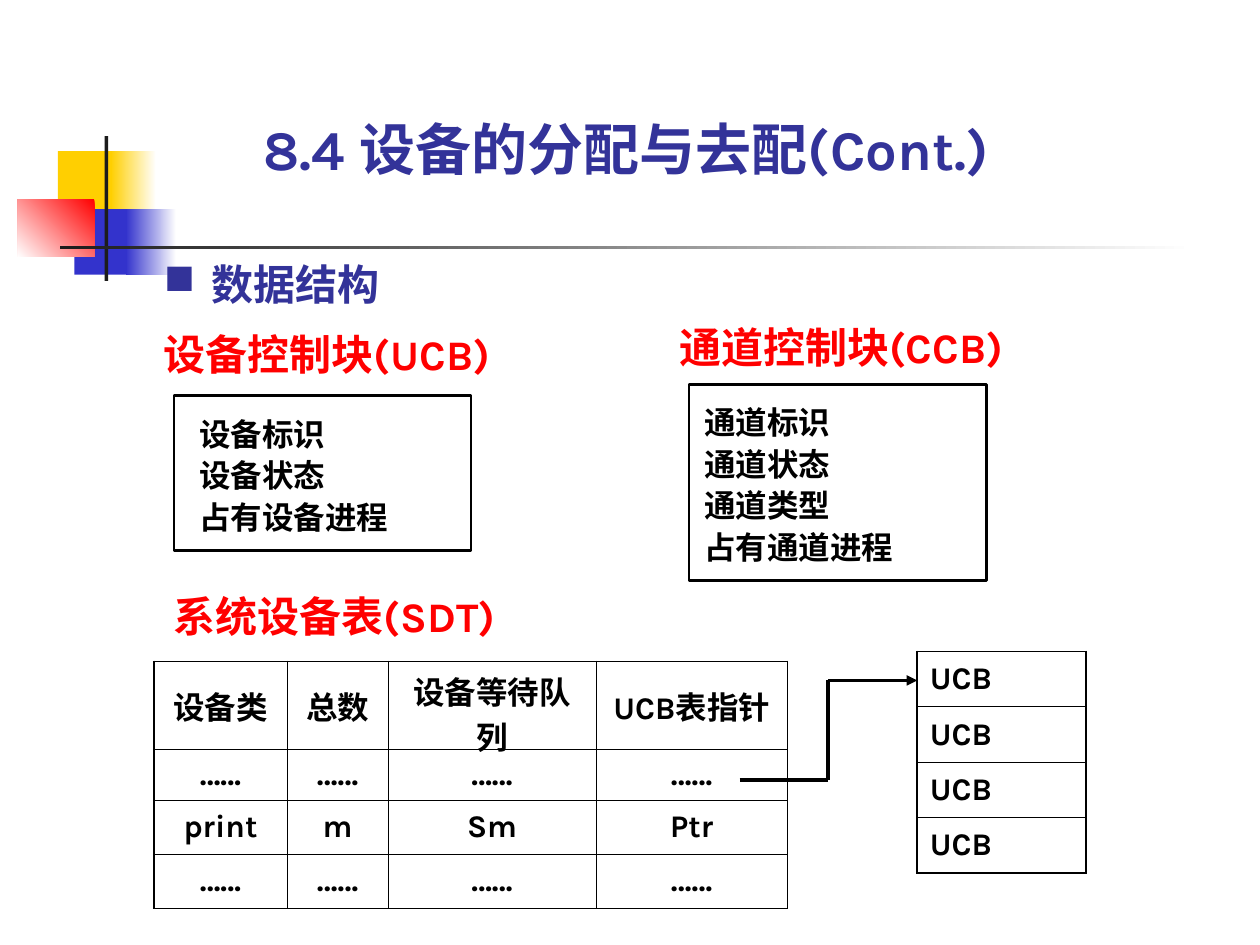
import pptx
import pptx.util
import pptx.dml.color
import pptx.enum.shapes
import pptx.enum.text
import pptx.oxml
import pptx.oxml.ns

Inches, Pt = pptx.util.Inches, pptx.util.Pt
ANCHOR = pptx.enum.text.MSO_ANCHOR
ALIGN = pptx.enum.text.PP_ALIGN

COLORS = {
    "navy": "333399", "red": "FF0000", "black": "000000", "white": "FFFFFF",
    "yellow": "FFCF01", "blue": "3333CC", "dark": "1C1C1C",
}

# Content: (left, top, width, height, fill colours, clockwise gradient angle)
DECORATION = [
    (0.46, 1.2, 0.48, 0.52, ["yellow"], None),
    (0.88, 1.2, 0.36, 0.52, ["white", "yellow"], 180),
    (0.59, 1.66, 0.46, 0.52, ["blue"], None),
    (1, 1.66, 0.4, 0.52, ["white", "blue"], 180),
    (0.14, 1.58, 0.61, 0.46, ["red", "white"], 135),
    (0.83, 1.08, 0.03, 1.15, ["dark"], None),
    (0.48, 1.95, 9, 0.03, ["white", "dark"], 180),
]
TITLE = "8.4 设备的分配与去配(Cont.)"
TOPIC = "数据结构"
HEADINGS = [
    ("设备控制块(UCB)", 1.3, 2.65),
    ("通道控制块(CCB)", 5.39, 2.6),
    ("系统设备表(SDT)", 1.38, 4.73),
]
# (lines, left, top, height, left inset)
CONTROL_BLOCKS = [
    (["设备标识", "设备状态", "占有设备进程"], 1.38, 3.14, 1.23, 0.2),
    (["通道标识", "通道状态", "通道类型", "占有通道进程"], 5.47, 3.05, 1.56, 0.12),
]
DEVICE_ROWS = [
    ["设备类", "总数", "设备等待队列", "UCB表指针"],
    ["……"] * 4,
    ["print", "m", "Sm", "Ptr"],
    ["……"] * 4,
]
UCB_ROWS = [["UCB"]] * 4
POINTER_ROUTE = [(5.87, 6.19), (6.57, 6.19), (6.57, 5.4), (7.28, 5.4)]


def rgb(name):
    return pptx.dml.color.RGBColor.from_string(COLORS[name])


def write_text(frame, lines, size=18, font="Karla", color="black", align=ALIGN.LEFT,
               spacing=None, bullet=None):
    frame.word_wrap = True
    for index, line in enumerate(lines):
        paragraph = frame.paragraphs[0] if index == 0 else frame.add_paragraph()
        if bullet:
            properties = paragraph._p.get_or_add_pPr()
            properties.set("marL", str(Inches(0.38)))
            properties.set("indent", str(-Inches(0.38)))
            mark = pptx.oxml.ns.qn("a:buChar")
            properties.makeelement(mark)
            properties.append(properties.makeelement(mark, {"char": bullet}))
        paragraph.alignment = align
        if spacing:
            paragraph.line_spacing = spacing
        run = paragraph.add_run()
        run.text = line
        run.font.size, run.font.name, run.font.bold = Pt(size), font, True
        run.font.color.rgb = rgb(color)


def set_insets(frame, left=0, top=0, right=0, bottom=0):
    frame.margin_left, frame.margin_top = Inches(left), Inches(top)
    frame.margin_right, frame.margin_bottom = Inches(right), Inches(bottom)


def add_label(slide, text, left, top, width, height, anchor=ANCHOR.TOP, **text_format):
    frame = slide.shapes.add_textbox(*map(Inches, (left, top, width, height))).text_frame
    set_insets(frame)
    frame.vertical_anchor = anchor
    write_text(frame, [text], **text_format)


def add_rectangle(slide, left, top, width, height, fills, angle=None):
    shape = slide.shapes.add_shape(pptx.enum.shapes.MSO_SHAPE.RECTANGLE,
                                   *map(Inches, (left, top, width, height)))
    shape.shadow.inherit = False
    shape.line.fill.background()
    if angle is None:
        shape.fill.solid()
        shape.fill.fore_color.rgb = rgb(fills[0])
    else:
        shape.fill.gradient()
        shape.fill.gradient_angle = 360 - angle
        for position, (stop, name) in enumerate(zip(shape.fill.gradient_stops, fills)):
            stop.position = position
            stop.color.rgb = rgb(name)
    return shape


def set_borders(cell, widths):
    properties = cell._tc.get_or_add_tcPr()
    for side, width in zip("LRTB", widths):
        properties.append(pptx.oxml.parse_xml(
            f'<a:ln{side} {pptx.oxml.ns.nsdecls("a")} w="{int(Pt(width))}"><a:solidFill>'
            f'<a:srgbClr val="{COLORS["black"]}"/></a:solidFill></a:ln{side}>'))


def add_grid(slide, rows, left, top, widths, heights, align):
    last_row, last_column = len(rows) - 1, len(widths) - 1
    table = slide.shapes.add_table(
        len(rows), len(widths),
        *map(Inches, (left, top, sum(widths), sum(heights)))).table
    table.first_row = table.horz_banding = False
    for column, width in zip(table.columns, widths):
        column.width = Inches(width)
    for row, height in zip(table.rows, heights):
        row.height = Inches(height)
    for r, values in enumerate(rows):
        for c, value in enumerate(values):
            cell = table.cell(r, c)
            outer = (c == 0, c == last_column, r == 0, r == last_row)
            set_borders(cell, [1.08 if edge else 0.45 for edge in outer])
            cell.fill.background()
            cell.vertical_anchor = ANCHOR.MIDDLE
            write_text(cell.text_frame, [value], align=align)


def add_line(slide, start, end, arrow=False):
    line = slide.shapes.add_connector(pptx.enum.shapes.MSO_CONNECTOR.STRAIGHT,
                                      *map(Inches, start + end))
    line.line.width = Pt(2)
    line.line.color.rgb = rgb("black")
    namespace = pptx.oxml.ns.nsdecls("a")
    if arrow:
        line.line._get_or_add_ln().append(
            pptx.oxml.parse_xml(f'<a:tailEnd {namespace} type="triangle"/>'))
    line._element.spPr.append(pptx.oxml.parse_xml(f"<a:effectLst {namespace}/>"))


def main():
    presentation = pptx.Presentation()
    presentation.slide_width, presentation.slide_height = Inches(10), Inches(7.5)
    slide = presentation.slides.add_slide(presentation.slide_layouts[6])

    # Corner decoration and rule
    for part in DECORATION:
        add_rectangle(slide, *part)

    # Title, topic and headings
    add_label(slide, TITLE, 2.09, 0.91, 6.26, 0.53, anchor=ANCHOR.BOTTOM,
              size=32, color="navy")
    add_label(slide, TOPIC, 1.3, 2.1, 1.89, 0.36, size=24, font="Times New Roman",
              color="navy", spacing=0.9, bullet="■")
    for text, left, top in HEADINGS:
        add_label(slide, text, left, top, 2.85, 0.36, size=24, color="red", spacing=0.9)

    # Control blocks
    for lines, left, top, height, inset in CONTROL_BLOCKS:
        block = add_rectangle(slide, left, top, 2.36, height, ["white"])
        block.line.color.rgb = rgb("black")
        block.line.width = Pt(1.5)
        set_insets(block.text_frame, left=inset, top=0.12, bottom=0.12)
        block.text_frame.vertical_anchor = ANCHOR.MIDDLE
        write_text(block.text_frame, lines, font="Times New Roman", spacing=1.1)

    # System device table and the list it points to
    add_grid(slide, DEVICE_ROWS, 1.22, 5.25, [1.06, 0.8, 1.65, 1.52],
             [0.7, 0.4, 0.43, 0.43], ALIGN.CENTER)
    add_grid(slide, UCB_ROWS, 7.28, 5.17, [1.34], [0.44] * 4, ALIGN.LEFT)

    # Pointer
    legs = list(zip(POINTER_ROUTE, POINTER_ROUTE[1:]))
    for start, end in legs:
        add_line(slide, start, end, arrow=(start, end) == legs[-1])

    presentation.save("out.pptx")


if __name__ == "__main__":
    main()
